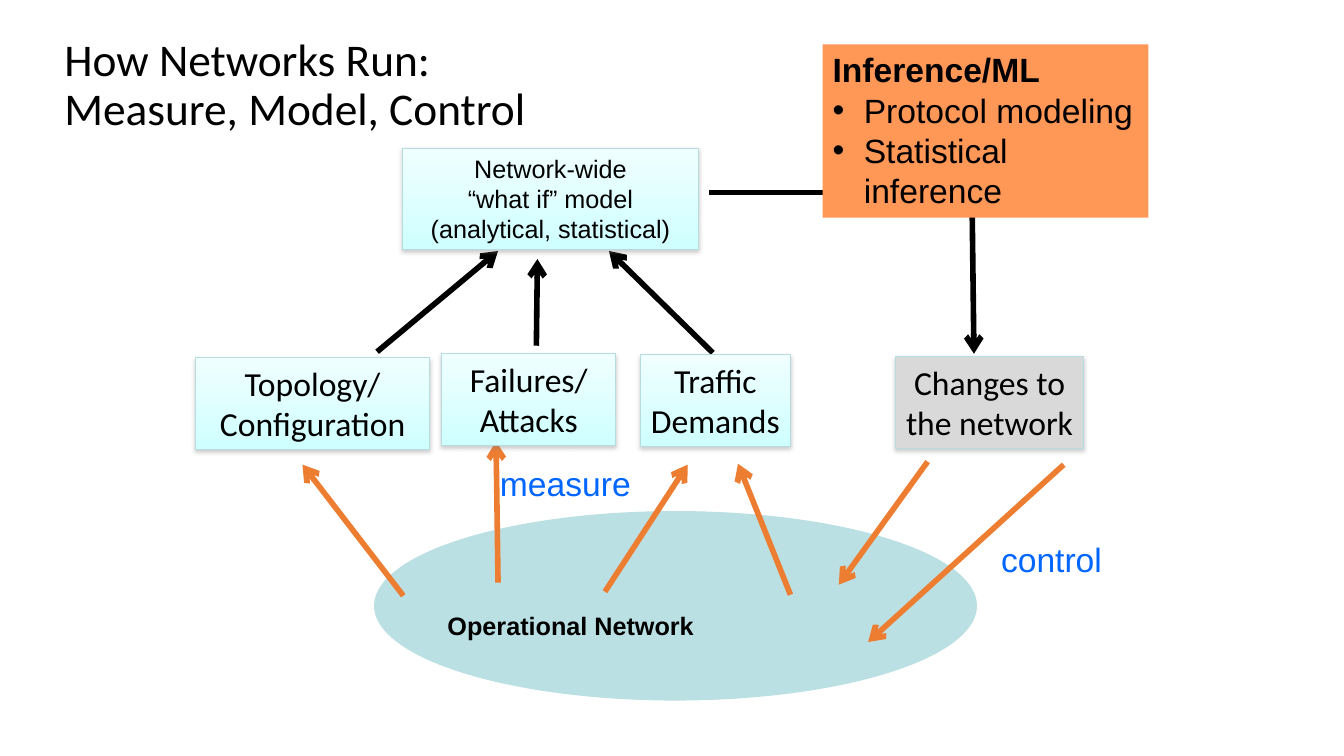
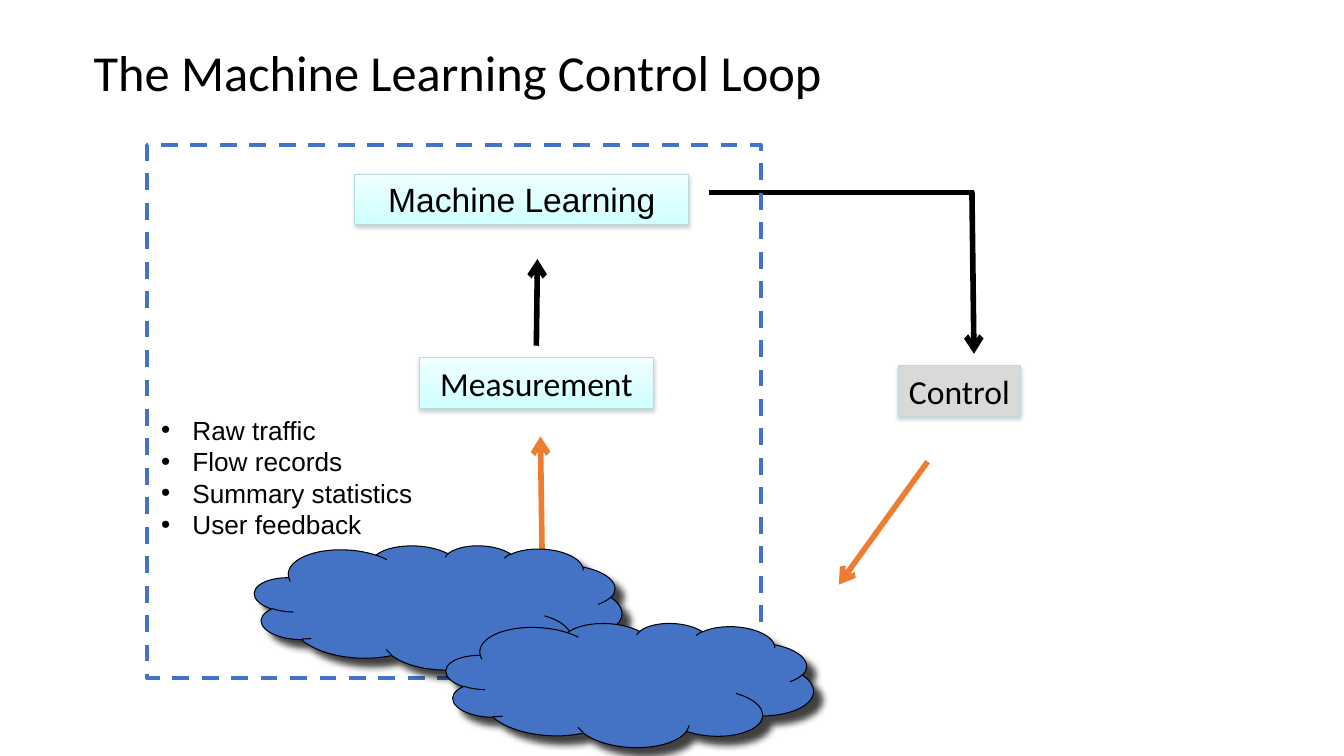
from lxml.etree import SubElement
from pptx import Presentation
from pptx.dml.color import RGBColor
from pptx.enum.dml import MSO_LINE
from pptx.enum.shapes import MSO_CONNECTOR, MSO_SHAPE
from pptx.enum.text import MSO_ANCHOR, PP_ALIGN
from pptx.oxml.ns import qn
from pptx.util import Inches, Pt

HUES = {
    "black": "000000", "orange": "ED7D31", "peach": "FF9757",
    "blue": "4472C4", "link": "0066FF", "pond": "BBE0E3",
    "edge": "B6DCDF", "gray": "D9D9D9", "pale": "F0FFFF",
    "ice": "CFFFFF", "shade": "808080",
}
SOFT = ("shade", 38, 3.1, 1.6, 90)
HARD = ("black", 75, 5, 8.5, 45)

SHARED = [
    ("black", 3, False, (7.03, 1.91), (9.66, 1.91)),
    ("black", 4, True, (9.64, 1.9), (9.66, 3.51)),
    ("black", 4, True, (5.32, 3.43), (5.33, 2.57)),
    ("orange", 4, True, (9.2, 4.58), (8.32, 5.8)),
]

RUN = {
    "title": ["How Networks Run:", "Measure, Model, Control"],
    "place": (0.54, 0.4, 9.58, 0.91),
    "size": 32.4,
    "lines": [
        ("orange", 4, True, (4, 5.91), (3, 4.61)),
        ("orange", 4, True, (4.94, 5.78), (4.92, 4.38)),
        ("orange", 4, True, (6, 5.87), (6.82, 4.61)),
        ("orange", 4, True, (7.84, 5.9), (7.32, 4.6)),
        ("orange", 4, True, (10.55, 4.61), (8.61, 6.37)),
        ("black", 4, True, (3.74, 3.49), (4.94, 2.49)),
        ("black", 4, True, (7.07, 3.5), (6.04, 2.49)),
    ],
    "cards": [
        ((1.94, 3.55, 2.32, 0.91), "ice", "Calibri", 24, ["Topology/", "Configuration"]),
        ((4.38, 3.51, 1.73, 0.91), "ice", "Calibri", 24, ["Failures/", "Attacks"]),
        ((6.35, 3.52, 1.49, 0.91), "ice", "Calibri", 24, ["Traffic", "Demands"]),
        ((8.88, 3.54, 1.87, 0.91), "gray", "Calibri", 24, ["Changes to", "the network"]),
        ((3.99, 1.47, 2.94, 1.01), "ice", "Arial", 18,
         ["Network-wide", "“what if” model", "(analytical, statistical)"]),
    ],
}
LOOP = {
    "title": ["The Machine Learning Control Loop"],
    "place": (0.83, 0.29, 9.58, 0.91),
    "size": 36,
    "lines": [("orange", 4, True, (5.38, 5.73), (5.36, 4.33))],
    "cards": [
        ((4.16, 3.55, 2.32, 0.5), "ice", "Calibri", 24, ["Measurement"]),
        ((8.91, 3.63, 1.21, 0.5), "gray", "Calibri", 24, ["Control"]),
        ((3.52, 1.73, 3.31, 0.5), "ice", "Arial", 24, ["Machine Learning"]),
    ],
}
LABELS = [
    ((4.34, 6.01, 2.67, 0.4), "Operational Network", 18, "black", True),
    ((4.86, 4.54, 1.51, 0.5), "measure", 24, "link", False),
    ((9.83, 5.3, 1.21, 0.5), "control", 24, "link", False),
]
METHODS = ["Protocol modeling", "Statistical inference"]
SOURCES = ["Raw traffic", "Flow records", "Summary statistics", "User feedback"]
CLOUDS = [(2.52, 5.39, 3.65, 1.25), (4.42, 6.16, 3.65, 1.25)]


def hue(name):
    return RGBColor.from_string(HUES[name])


def box(place):
    return [Inches(v) for v in place]


def bullet(para):
    props = para._p.get_or_add_pPr()
    props.set("marL", str(Inches(0.31)))
    props.set("indent", str(-Inches(0.31)))
    SubElement(props, qn("a:buFont"), typeface="Arial")
    SubElement(props, qn("a:buChar"), char="•")


def write(shape, heads, size, font="Arial", color="black", bold=False,
          align=PP_ALIGN.LEFT, anchor=MSO_ANCHOR.TOP, wrap=True, points=(), space=None):
    frame = shape.text_frame
    frame.word_wrap = wrap
    frame.vertical_anchor = anchor
    rows = [(t, bold, False) for t in heads] + [(t, False, True) for t in points]
    for i, (text, heavy, dot) in enumerate(rows):
        para = frame.add_paragraph() if i else frame.paragraphs[0]
        para.alignment = align
        if space:
            para.line_spacing = space
        if dot:
            bullet(para)
        run = para.add_run()
        run.text = text
        run.font.size = Pt(size)
        run.font.name = font
        run.font.bold = heavy
        run.font.color.rgb = hue(color)


def shape(slide, kind, place, fill=None, edge=None, width=0.75, shade=None):
    item = slide.shapes.add_shape(kind, *box(place))
    item.shadow.inherit = False
    if fill == "ice":
        item.fill.gradient()
        item.fill.gradient_angle = 270
        for stop, name in zip(item.fill.gradient_stops, ("pale", "ice")):
            stop.color.rgb = hue(name)
    elif fill:
        item.fill.solid()
        item.fill.fore_color.rgb = hue(fill)
    else:
        item.fill.background()
    if edge:
        item.line.color.rgb = hue(edge)
        item.line.width = Pt(width)
    else:
        item.line.fill.background()
    if shade:
        name, alpha, blur, dist, turn = shade
        glow = SubElement(item._element.spPr.find(qn("a:effectLst")), qn("a:outerShdw"),
                          blurRad=str(Pt(blur)), dist=str(Pt(dist)),
                          dir=str(turn * 60000), rotWithShape="0")
        tint = SubElement(glow, qn("a:srgbClr"), val=HUES[name])
        SubElement(tint, qn("a:alpha"), val=str(alpha * 1000))
    return item


def line(slide, color, width, head, start, end):
    item = slide.shapes.add_connector(MSO_CONNECTOR.STRAIGHT, *box(start + end))
    item.line.color.rgb = hue(color)
    item.line.width = Pt(width)
    props = item._element.spPr
    if head:
        SubElement(props.find(qn("a:ln")), qn("a:tailEnd"), type="arrow")
    SubElement(props, qn("a:effectLst"))


def label(slide, place, heads, size, **style):
    write(slide.shapes.add_textbox(*box(place)), heads, size, **style)


def base(deck, data):
    slide = deck.slides.add_slide(deck.slide_layouts[6])
    label(slide, data["place"], data["title"], data["size"], font="Calibri",
          anchor=MSO_ANCHOR.MIDDLE, space=0.9)
    if data is RUN:
        shape(slide, MSO_SHAPE.OVAL, (3.71, 5.07, 5.98, 1.88), "pond")
    for args in data["lines"] + SHARED:
        line(slide, *args)
    for place, fill, font, size, heads in data["cards"]:
        card = shape(slide, MSO_SHAPE.RECTANGLE, place, fill, "edge", shade=SOFT)
        write(card, heads, size, font, align=PP_ALIGN.CENTER, wrap=fill == "ice" and place[2] > 1.5)
    return slide


def main():
    deck = Presentation()
    deck.slide_width, deck.slide_height = Inches(13.33), Inches(7.5)

    slide = base(deck, RUN)
    for place, text, size, color, bold in LABELS:
        label(slide, place, [text], size, color=color, bold=bold, wrap=False)
    panel = shape(slide, MSO_SHAPE.RECTANGLE, (8.16, 0.44, 3.23, 1.72), "peach")
    write(panel, ["Inference/ML"], 24, bold=True, points=METHODS)

    slide = base(deck, LOOP)
    frame = shape(slide, MSO_SHAPE.RECTANGLE, (1.46, 1.44, 6.09, 5.29), None, "blue", 3)
    frame.line.dash_style = MSO_LINE.DASH
    for place in CLOUDS:
        cloud = shape(slide, MSO_SHAPE.CLOUD, place, "blue", "black", shade=HARD)
        cloud.rotation = 3
    label(slide, (1.5, 4.06, 3.04, 1.36), [], 18.7, points=SOURCES)

    deck.save("out.pptx")


if __name__ == "__main__":
    main()
